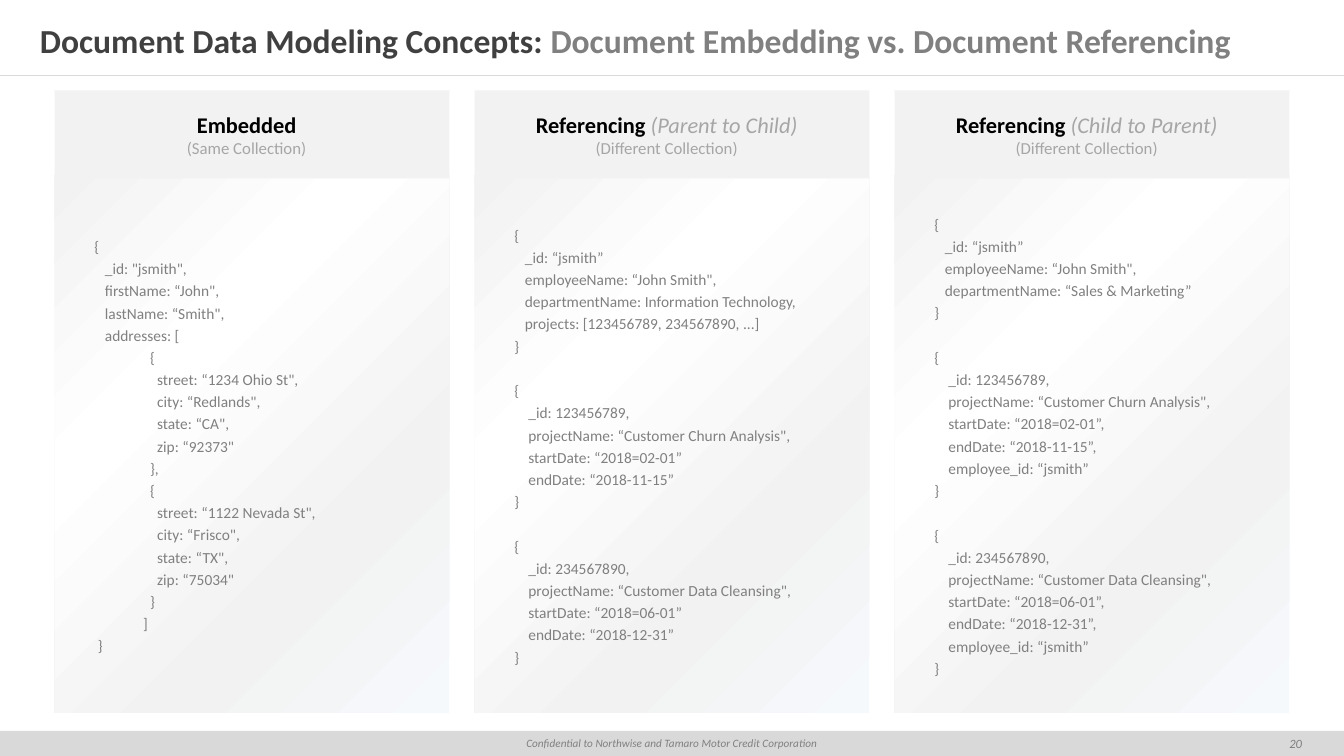
from dataclasses import dataclass

from lxml import etree
from pptx import Presentation
from pptx.dml.color import RGBColor
from pptx.enum.shapes import MSO_CONNECTOR, MSO_SHAPE
from pptx.enum.text import MSO_ANCHOR, PP_ALIGN
from pptx.oxml import parse_xml
from pptx.oxml.ns import nsdecls, qn
from pptx.util import Emu, Pt

PX = 9525
SLIDE_W, SLIDE_H = 1280, 720


@dataclass(frozen=True)
class Theme:
    """Font, colours and type sizes of the slide."""
    font: str = "Calibri"
    dark: str = "404040"
    black: str = "000000"
    grey: str = "808080"
    pale: str = "A6A6A6"
    band: str = "D9D9D9"
    panel: str = "F2F2F2"
    sheen: tuple = ((0, "F6F9FC"), (30, "F2F2F2"), (67, "FFFFFF"), (100, "F2F2F2"))
    sheen_angle: int = 225
    title: int = 24
    heading: int = 16
    subheading: int = 12
    code: int = 11
    code_gap: int = 16
    page: int = 9
    footer: int = 8


THEME = Theme()

EMBEDDED = '''{
   _id: "jsmith",
   firstName: “John",
   lastName: “Smith",
   addresses: [
                {
                  street: “1234 Ohio St",
                  city: “Redlands",
                  state: “CA",
                  zip: “92373"
                },
                {
                  street: “1122 Nevada St",
                  city: “Frisco",
                  state: “TX",
                  zip: “75034"
                }
              ]
 }'''

PARENT_TO_CHILD = '''{
   _id: “jsmith”
   employeeName: “John Smith",
   departmentName: Information Technology,
   projects: [123456789, 234567890, ...]
}

{
    _id: 123456789,
    projectName: “Customer Churn Analysis",
    startDate: “2018=02-01”
    endDate: “2018-11-15”
}

{
    _id: 234567890,
    projectName: “Customer Data Cleansing",
    startDate: “2018=06-01”
    endDate: “2018-12-31”
}'''

CHILD_TO_PARENT = '''{
   _id: “jsmith”
   employeeName: “John Smith",
   departmentName: “Sales & Marketing”
}

{
    _id: 123456789,
    projectName: “Customer Churn Analysis",
    startDate: “2018=02-01”,
    endDate: “2018-11-15”,
    employee_id: “jsmith”
}

{
    _id: 234567890,
    projectName: “Customer Data Cleansing",
    startDate: “2018=06-01”,
    endDate: “2018-12-31”,
    employee_id: “jsmith”
}'''

COLUMNS = (
    ("Embedded", "", "(Same Collection)", EMBEDDED),
    ("Referencing ", "(Parent to Child)", "(Different Collection)", PARENT_TO_CHILD),
    ("Referencing ", "(Child to Parent)", "(Different Collection)", CHILD_TO_PARENT),
)


def emu(*lengths):
    """Turn px lengths into EMU."""
    return [Emu(length * PX) for length in lengths]


def add_run(paragraph, text, size, color, bold=False, italic=False):
    """Append one styled run to a paragraph."""
    run = paragraph.add_run()
    run.text = text
    font = run.font
    font.name, font.size, font.bold, font.italic = THEME.font, Pt(size), bold, italic
    font.color.rgb = RGBColor.from_string(color)


def set_frame(shape, insets):
    """Wrap and centre the text vertically, with insets left, top, right, bottom."""
    frame = shape.text_frame
    frame.word_wrap = True
    frame.vertical_anchor = MSO_ANCHOR.MIDDLE
    (frame.margin_left, frame.margin_top,
     frame.margin_right, frame.margin_bottom) = emu(*insets)
    return frame


def add_text_box(slide, box, insets):
    """Add a text box and return its text frame."""
    return set_frame(slide.shapes.add_textbox(*emu(*box)), insets)


def add_panel(slide, box, color):
    """Add a flat borderless rectangle."""
    panel = slide.shapes.add_shape(MSO_SHAPE.RECTANGLE, *emu(*box))
    panel.shadow.inherit = False
    panel.fill.solid()
    panel.fill.fore_color.rgb = RGBColor.from_string(color)
    panel.line.fill.background()
    return panel


def apply_sheen(panel):
    """Swap the flat fill of a panel for the diagonal gradient."""
    stops = "".join(
        f'<a:gs pos="{position * 1000}"><a:srgbClr val="{color}"/></a:gs>'
        for position, color in THEME.sheen)
    gradient = parse_xml(
        f'<a:gradFill {nsdecls("a")} rotWithShape="1"><a:gsLst>{stops}</a:gsLst>'
        f'<a:lin ang="{THEME.sheen_angle * 60000}" scaled="0"/></a:gradFill>')
    properties = panel.fill._xPr
    properties.replace(properties.find(qn("a:solidFill")), gradient)


def add_title(slide, box):
    """Place the two-tone title and the rule below it."""
    left, top, width, height = box
    title = add_text_box(slide, (left, top, width, height), (38, 19, 38, 19)).paragraphs[0]
    add_run(title, "Document Data Modeling Concepts: ", THEME.title, THEME.dark, bold=True)
    add_run(title, "Document Embedding vs. Document Referencing",
            THEME.title, THEME.grey, bold=True)
    rule_y = top + height + 11
    rule = slide.shapes.add_connector(
        MSO_CONNECTOR.STRAIGHT, *emu(left, rule_y, left + width, rule_y))
    rule.line.color.rgb = RGBColor.from_string(THEME.band)
    rule.line.width = Pt(0.25)
    etree.SubElement(rule._element.spPr, qn("a:effectLst"))


def add_code(slide, box, code):
    """Place a gradient panel of code, spacing its documents apart."""
    panel = add_panel(slide, box, THEME.panel)
    apply_sheen(panel)
    frame = set_frame(panel, (38, 19, 38, 19))
    for number, document in enumerate(code.split("\n\n")):
        for row, code_line in enumerate(document.split("\n")):
            first = number == row == 0
            paragraph = frame.paragraphs[0] if first else frame.add_paragraph()
            paragraph.alignment = PP_ALIGN.JUSTIFY
            paragraph.line_spacing = 1.2
            if number and row == 0:
                paragraph.space_before = Pt(THEME.code_gap)
            add_run(paragraph, code_line, THEME.code, THEME.grey)


def add_column(slide, box, heading, direction, collection, code):
    """Place one modeling approach: its code under its heading panel."""
    left, top, width, height = box
    add_code(slide, (left, top + 81, width, height - 81), code)
    frame = set_frame(add_panel(slide, (left, top, width, 84), THEME.panel), (0, 19, 10, 19))
    approach, scope = frame.paragraphs[0], frame.add_paragraph()
    approach.alignment = scope.alignment = PP_ALIGN.CENTER
    add_run(approach, heading, THEME.heading, THEME.black, bold=True)
    if direction:
        add_run(approach, direction, THEME.heading, THEME.pale, italic=True)
    add_run(scope, collection, THEME.subheading, THEME.pale)


def add_footer(slide, box):
    """Place the footer band with its notice and page number."""
    left, top, width, height = box
    notice = set_frame(add_panel(slide, box, THEME.band), (10, 0, 10, 0)).paragraphs[0]
    page = add_text_box(slide, (left + width - 80, top, 68, height), (10, 0, 10, 0)).paragraphs[0]
    notice.alignment = page.alignment = PP_ALIGN.CENTER
    add_run(notice, "Confidential to Northwise and Tamaro Motor Credit Corporation",
            THEME.footer, THEME.grey, italic=True)
    add_run(page, "20", THEME.page, THEME.grey, italic=True)


def main():
    """Build and save the slide."""
    deck = Presentation()
    deck.slide_width, deck.slide_height = emu(SLIDE_W, SLIDE_H)
    slide = deck.slides.add_slide(deck.slide_layouts[6])
    add_footer(slide, (0, 696, SLIDE_W, 24))
    add_title(slide, (0, 15, SLIDE_W, 46))
    for index, column in enumerate(COLUMNS):
        add_column(slide, (52 + 400 * index, 86, 376, 593), *column)
    deck.save("out.pptx")


if __name__ == "__main__":
    main()
